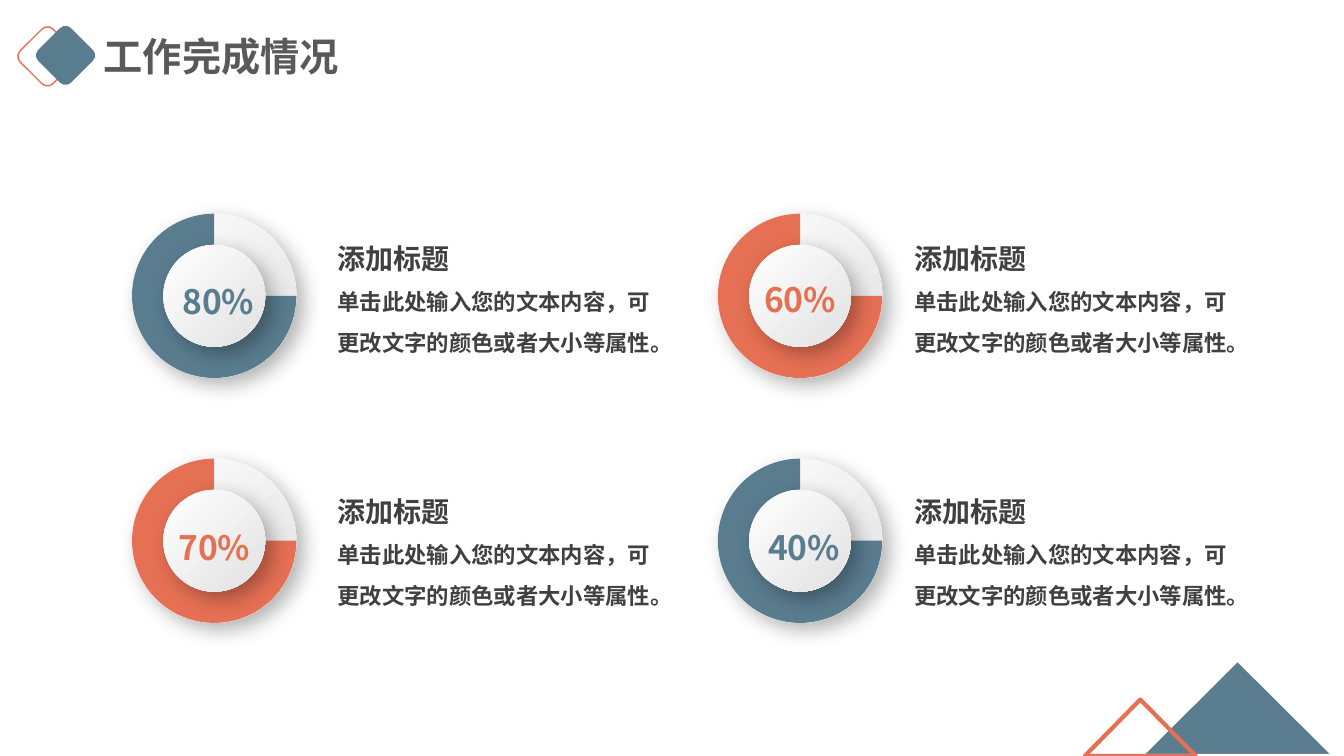
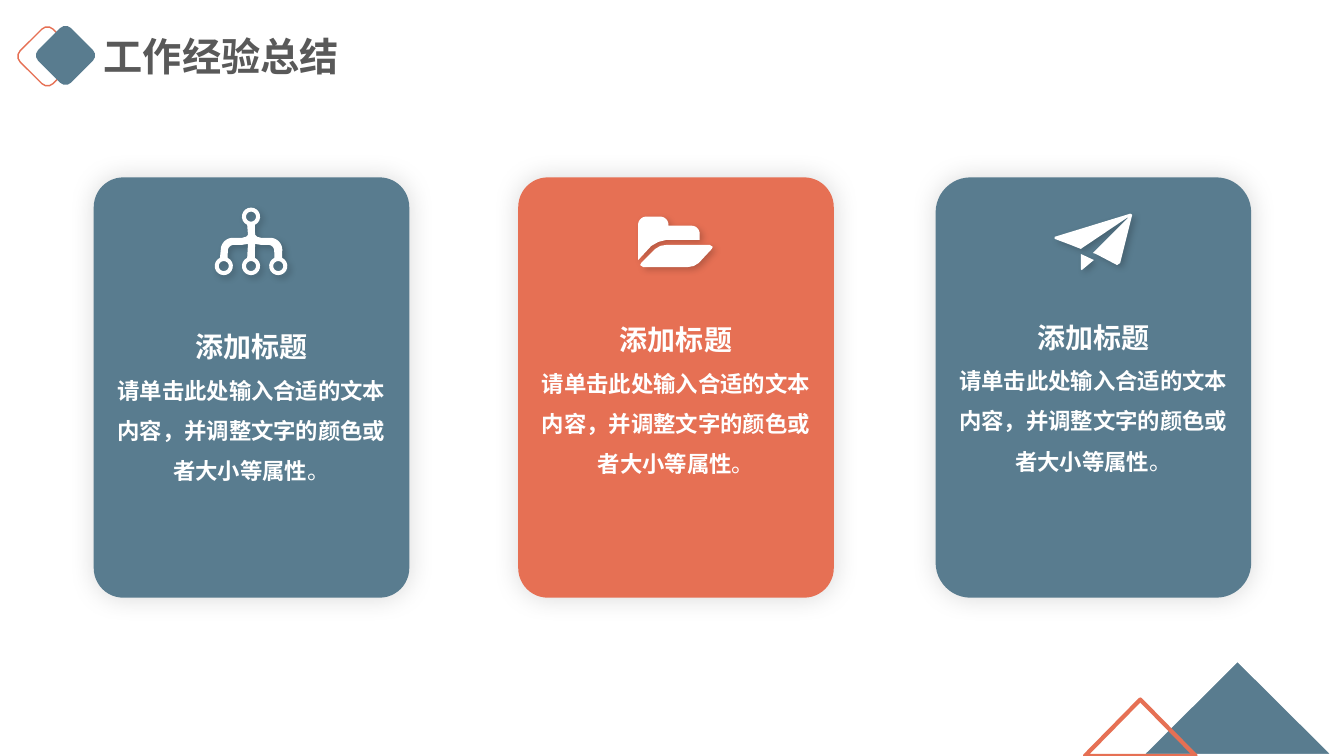
"""Build two work-report slides: completion rings and experience cards."""
from math import cos, radians, sin

from lxml.etree import SubElement
from pptx import Presentation
from pptx.dml.color import RGBColor as RGB
from pptx.enum.shapes import MSO_SHAPE as SHAPE
from pptx.enum.text import MSO_ANCHOR as ANCHOR, MSO_AUTO_SIZE as AUTOSIZE, PP_ALIGN as ALIGN
from pptx.oxml.ns import qn
from pptx.util import Inches, Pt

FONT = "Noto Sans CJK SC"
C = {"blue": "597C8F", "coral": "E67054", "white": "FFFFFF", "silver": "E2E2E2",
     "title": "595959", "text": "404040", "shadow": "000000"}
RING_SHADOW = (30, 15, 7, 45)
CARD_SHADOW = (15, 19, 0, 0)
ICON_SHADOW = (20, 5, 3, 45)


def style(sp, fill=None, line=None, width=1, shadow=None):
    """Set fill, outline and shadow (opacity %, blur pt, distance pt, angle)."""
    if fill == "gradient":
        sp.fill.gradient()
        sp.fill.gradient_angle = 315
        for stop, name in zip(sp.fill.gradient_stops, ("white", "silver")):
            stop.color.rgb = RGB.from_string(C[name])
        sp.fill.gradient_stops[0].position = 0
        sp.fill.gradient_stops[1].position = 1
    elif fill:
        sp.fill.solid()
        sp.fill.fore_color.rgb = RGB.from_string(C[fill])
    else:
        sp.fill.background()
    if line:
        sp.line.color.rgb = RGB.from_string(C[line])
        sp.line.width = Pt(width)
    else:
        sp.line.fill.background()
    sp.shadow.inherit = False
    if shadow:
        opacity, blur, dist, angle = shadow
        effects = sp._element.spPr.find(qn("a:effectLst"))
        outer = SubElement(effects, qn("a:outerShdw"), blurRad=str(Pt(blur)),
                           dist=str(Pt(dist)), dir=str(angle * 60000),
                           algn="ctr", rotWithShape="0")
        color = SubElement(outer, qn("a:srgbClr"), val=C["shadow"])
        SubElement(color, qn("a:alpha"), val=str(opacity * 1000))


def arc(cx, cy, r, start, end, steps=16):
    """Return points on an arc; angles run clockwise from the right."""
    angles = [radians(start + (end - start) * i / steps) for i in range(steps + 1)]
    return [(cx + r * cos(a), cy + r * sin(a)) for a in angles]


prs = Presentation()
prs.slide_width, prs.slide_height = Inches(13.33), Inches(7.5)

for title in ("工作完成情况", "工作经验总结"):
    s = prs.slides.add_slide(prs.slide_layouts[5])
    for kind, x, y, w, h, turn, fill, line, width in (
            (SHAPE.ROUNDED_RECTANGLE, 0.24, 0.33, 0.46, 0.46, 45, None, "coral", 1),
            (SHAPE.ROUNDED_RECTANGLE, 0.42, 0.32, 0.46, 0.46, 45, "blue", None, 1),
            (SHAPE.ISOSCELES_TRIANGLE, 11.31, 6.54, 1.93, 0.96, 0, "blue", "white", 3),
            (SHAPE.ISOSCELES_TRIANGLE, 10.76, 6.94, 1.1, 0.56, 0, None, "coral", 3)):
        sp = s.shapes.add_shape(kind, Inches(x), Inches(y), Inches(w), Inches(h))
        sp.rotation = turn
        style(sp, fill, line, width)
    sp = s.shapes.title
    sp.left, sp.top, sp.width, sp.height = Inches(0.93), Inches(0.27), Inches(2.56), Inches(0.57)
    tf = sp.text_frame
    tf.text = title
    tf.word_wrap = False
    tf.auto_size = AUTOSIZE.NONE
    tf.vertical_anchor = ANCHOR.TOP
    p = tf.paragraphs[0]
    p.alignment = ALIGN.LEFT
    p.font.size, p.font.bold = Pt(28), True
    p.font.color.rgb = RGB.from_string(C["title"])

rings, cards = prs.slides

for percent, color, x, y, label_x, label_y, text_x, text_y in (
        ("80%", "blue", 1.31, 2.12, 1.57, 2.74, 3.25, 2.18),
        ("60%", "coral", 7.12, 2.12, 7.34, 2.72, 8.97, 2.18),
        ("70%", "coral", 1.31, 4.55, 1.53, 5.18, 3.25, 4.69),
        ("40%", "blue", 7.12, 4.55, 7.38, 5.18, 8.97, 4.69)):
    for kind, inset, fill, shadow in ((SHAPE.OVAL, 0, "gradient", RING_SHADOW),
                                      (SHAPE.PIE, 0, color, None),
                                      (SHAPE.OVAL, 0.31, "gradient", RING_SHADOW)):
        size = Inches(1.63 - 2 * inset)
        sp = rings.shapes.add_shape(kind, Inches(x + inset), Inches(y + inset), size, size)
        style(sp, fill, shadow=shadow)

    tf = rings.shapes.add_textbox(Inches(label_x), Inches(label_y),
                                  Inches(1.19), Inches(0.5)).text_frame
    tf.word_wrap = True
    tf.text = percent
    p = tf.paragraphs[0]
    p.alignment = ALIGN.CENTER
    p.font.size, p.font.bold = Pt(24), True
    p.font.color.rgb = RGB.from_string(C[color])

    tf = rings.shapes.add_textbox(Inches(text_x), Inches(text_y),
                                  Inches(3.49), Inches(1.37)).text_frame
    tf.word_wrap = True
    tf.text = "添加标题\n单击此处输入您的文本内容，可更改文字的颜色或者大小等属性。"
    for p, size in zip(tf.paragraphs, (20, 16)):
        p.line_spacing = 1.5
        p.font.size, p.font.bold = Pt(size), True
        p.font.color.rgb = RGB.from_string(C["text"])

nodes = [(2.49, 2.15), (2.76, 2.64), (2.49, 2.64), (2.22, 2.64)]
right, middle, left = [arc(x, y, 0.09, 295, 605) for x, y in nodes[1:]]
tree = [arc(*nodes[0], 0.09, 115, 425) + [(2.53, 2.33), (2.55, 2.35), (2.59, 2.36)]
        + arc(2.68, 2.48, 0.12, 270, 360) + right
        + arc(2.66, 2.49, 0.06, 0, -90) + [(2.59, 2.43), (2.53, 2.42)] + middle
        + [(2.46, 2.42), (2.4, 2.43)] + arc(2.32, 2.49, 0.06, 270, 180) + left
        + arc(2.31, 2.48, 0.12, 180, 270) + [(2.4, 2.36), (2.44, 2.35), (2.46, 2.33)]]
tree += [arc(x, y, 0.05, 360, 0) for x, y in nodes]
folder = [[(6.94, 2.38), (6.61, 2.38), (6.53, 2.4), (6.46, 2.44), (6.33, 2.58)]
          + arc(6.41, 2.23, 0.08, 180, 270) + arc(6.55, 2.23, 0.08, 270, 360)
          + [(6.63, 2.24)] + arc(6.86, 2.32, 0.08, 270, 360),
          [(7.06, 2.47), (6.93, 2.61), (6.88, 2.64), (6.82, 2.65), (6.38, 2.65),
           (6.35, 2.63), (6.36, 2.61), (6.5, 2.47), (6.55, 2.44), (6.61, 2.43),
           (7.04, 2.43), (7.07, 2.45)]]
plane = [[(11.21, 2.12), (10.46, 2.35), (10.46, 2.37), (10.62, 2.43), (10.72, 2.47),
          (11.18, 2.16), (11.19, 2.16), (10.84, 2.51), (10.87, 2.52), (11.08, 2.63),
          (11.11, 2.61), (11.23, 2.13)],
         [(10.72, 2.67), (10.73, 2.68), (10.85, 2.58), (10.72, 2.52)]]

for x, color, corner, text_top, icon in ((0.93, "blue", 0.094, 1.26, tree),
                                         (5.14, "coral", 0.094, 1.19, folder),
                                         (9.28, "blue", 0.111, 1.15, plane)):
    sp = cards.shapes.add_shape(SHAPE.ROUNDED_RECTANGLE, Inches(x), Inches(1.76),
                                Inches(3.13), Inches(4.17))
    sp.adjustments[0] = corner
    style(sp, color, shadow=CARD_SHADOW)
    tf = sp.text_frame
    tf.word_wrap = True
    tf.vertical_anchor = ANCHOR.TOP
    tf.margin_top = Inches(text_top)
    tf.text = "添加标题\n请单击此处输入合适的文本内容，并调整文字的颜色或者大小等属性"
    for p, size in zip(tf.paragraphs, (20, 16)):
        p.alignment = ALIGN.CENTER
        p.line_spacing = 1.5
        p.font.size, p.font.bold = Pt(size), True
        p.font.color.rgb = RGB.from_string(C["white"])
    r = tf.paragraphs[1].add_run()
    r.text = "。"
    r.font.bold = False

    outlines = [[(Inches(px), Inches(py)) for px, py in outline] for outline in icon]
    builder = cards.shapes.build_freeform(*outlines[0][0])
    for outline in outlines:
        if outline is not outlines[0]:
            builder.move_to(*outline[0])
        builder.add_line_segments(outline[1:], close=True)
    style(builder.convert_to_shape(), "white", shadow=ICON_SHADOW)

for s in prs.slides:
    for sp in s.shapes:
        for p in sp.text_frame.paragraphs:
            if p.text:
                p.font.name = FONT
                SubElement(p._p.pPr.find(qn("a:defRPr")), qn("a:ea"), typeface=FONT)

prs.save("out.pptx")
